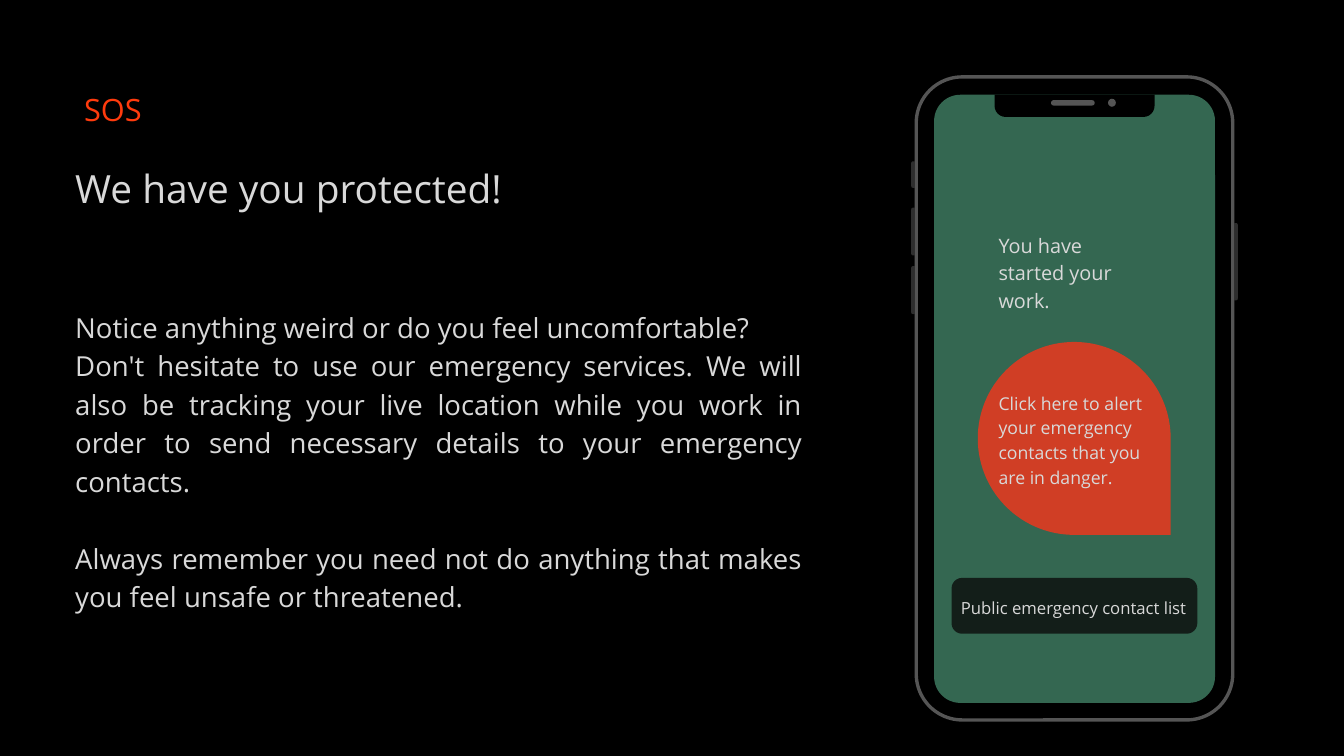
"""Build the SOS slide: safety message on the left, phone mock-up on the right."""
import pptx
import pptx.dml.color
import pptx.enum.shapes
import pptx.enum.text
import pptx.util

Pt = pptx.util.Pt
SHAPE = pptx.enum.shapes.MSO_SHAPE
ALIGN = pptx.enum.text.PP_ALIGN

FONT = "Open Sans"
BLACK, GREY, DARK_GREY = "000000", "555555", "2E2E2E"
GREEN, RED, DARK_GREEN = "346751", "D03E25", "131E19"
LIGHT, ORANGE = "D9D9D9", "FF3B0D"

LEFT_MARGIN = 80.6
SCREEN_TEXT_LEFT = 1069.9
FRAME_LINE = 3.6

HEADINGS = [
    ("SOS", (LEFT_MARGIN, 90.7, 80.6, 43.9),
     dict(size=32.9, leading=46.1, color=ORANGE, align=ALIGN.CENTER)),
    ("We have you protected!", (LEFT_MARGIN, 168.5, 509.8, 56.2),
     dict(size=41.6, leading=58.2)),
]
MESSAGE = [
    "Notice anything weird or do you feel uncomfortable?",
    "Don't hesitate to use our emergency services. We will also be tracking your live "
    "location while you work in order to send necessary details to your emergency contacts.",
    "Always remember you need not do anything that makes you feel unsafe or threatened.",
]
MESSAGE_AREA = (LEFT_MARGIN, 326.9, 779, 324.7)
MESSAGE_LEADING = 41.3

PHONE_PARTS = [
    (SHAPE.ROUNDED_RECTANGLE, (1000.8, 101.5, 301, 651.6), dict(fill=GREEN, radius=28.1)),
    (SHAPE.ROUND_2_SAME_RECTANGLE, (1065.6, 101.5, 171.4, 23.8),
     dict(fill=BLACK, radius=15.1, turn=180)),
    (SHAPE.ROUNDED_RECTANGLE, (1126.1, 107.3, 46.8, 5.8), dict(fill=GREY, radius=2.9)),
    (SHAPE.OVAL, (1187.2, 105.8, 8.4, 8.6), dict(fill=GREY)),
    (SHAPE.ROUNDED_RECTANGLE, (981.7, 82.4, 339.1, 689), dict(line=GREY, radius=49.3)),
    (SHAPE.TEAR, (1047.6, 366.4, 206.7, 206.7), dict(fill=RED, turn=90)),
    (SHAPE.ROUNDED_RECTANGLE, (1019.5, 619.2, 263.3, 59.8), dict(fill=DARK_GREEN, radius=11.3)),
]
SIDE_BUTTONS = [
    (976.3, 172.8, 28.4, 270),
    (976.3, 222.5, 51.1, 270),
    (976.3, 285.1, 51.4, 270),
    (1322.6, 239, 82.8, 90),
]
BUTTON_WIDTH = 3.6
SCREEN_TEXTS = [
    ("You have started your work.", (SCREEN_TEXT_LEFT, 245.5, 162.7, 87.1),
     dict(size=21.3, leading=29.9)),
    ("Click here to alert your emergency contacts that you are in danger.",
     (SCREEN_TEXT_LEFT, 416.9, 162.7, 103.7), dict(size=18.9, leading=26.4)),
    ("Public emergency contact list", (1029.6, 636.5, 242.6, 23),
     dict(size=17.9, leading=25.1)),
]


def rgb(value):
    return pptx.dml.color.RGBColor.from_string(value)


def add_part(page, kind, area, fill=None, line=None, radius=None, turn=0):
    left, top, width, height = area
    if turn in (90, 270):
        left, top = left + (width - height) / 2, top + (height - width) / 2
        width, height = height, width
    shape = page.shapes.add_shape(kind, Pt(left), Pt(top), Pt(width), Pt(height))
    shape.shadow.inherit = False
    shape.rotation = turn
    if radius:
        shape.adjustments[0] = min(0.5, radius / min(width, height))
    if fill:
        shape.fill.solid()
        shape.fill.fore_color.rgb = rgb(fill)
    else:
        shape.fill.background()
    if line:
        shape.line.color.rgb = rgb(line)
        shape.line.width = Pt(FRAME_LINE)
    else:
        shape.line.fill.background()


def add_text(page, paragraphs, area, size, leading, color=LIGHT, align=ALIGN.LEFT):
    box = page.shapes.add_textbox(*map(Pt, area))
    frame = box.text_frame
    frame.word_wrap = True
    frame.margin_left = frame.margin_right = frame.margin_top = frame.margin_bottom = 0
    for index, text in enumerate(paragraphs):
        para = frame.paragraphs[0] if index == 0 else frame.add_paragraph()
        para.alignment = align
        para.line_spacing = Pt(leading)
        span = para.add_run()
        span.text = text
        span.font.name = FONT
        span.font.size = Pt(size)
        span.font.color.rgb = rgb(color)
    return box


def main():
    deck = pptx.Presentation()
    deck.slide_width, deck.slide_height = Pt(1440), Pt(810)
    page = deck.slides.add_slide(deck.slide_layouts[6])
    page.background.fill.solid()
    page.background.fill.fore_color.rgb = rgb(BLACK)

    for left, top, height, turn in SIDE_BUTTONS:
        add_part(page, SHAPE.ROUND_2_SAME_RECTANGLE, (left, top, BUTTON_WIDTH, height),
                 fill=DARK_GREY, radius=BUTTON_WIDTH, turn=turn)
    for kind, area, style in PHONE_PARTS:
        add_part(page, kind, area, **style)
    for text, area, style in SCREEN_TEXTS + HEADINGS:
        add_text(page, [text], area, **style)

    message = add_text(page, MESSAGE, MESSAGE_AREA, size=29.5, leading=MESSAGE_LEADING,
                       align=ALIGN.JUSTIFY)
    message.text_frame.paragraphs[-1].space_before = Pt(MESSAGE_LEADING)
    deck.save("out.pptx")


if __name__ == "__main__":
    main()
